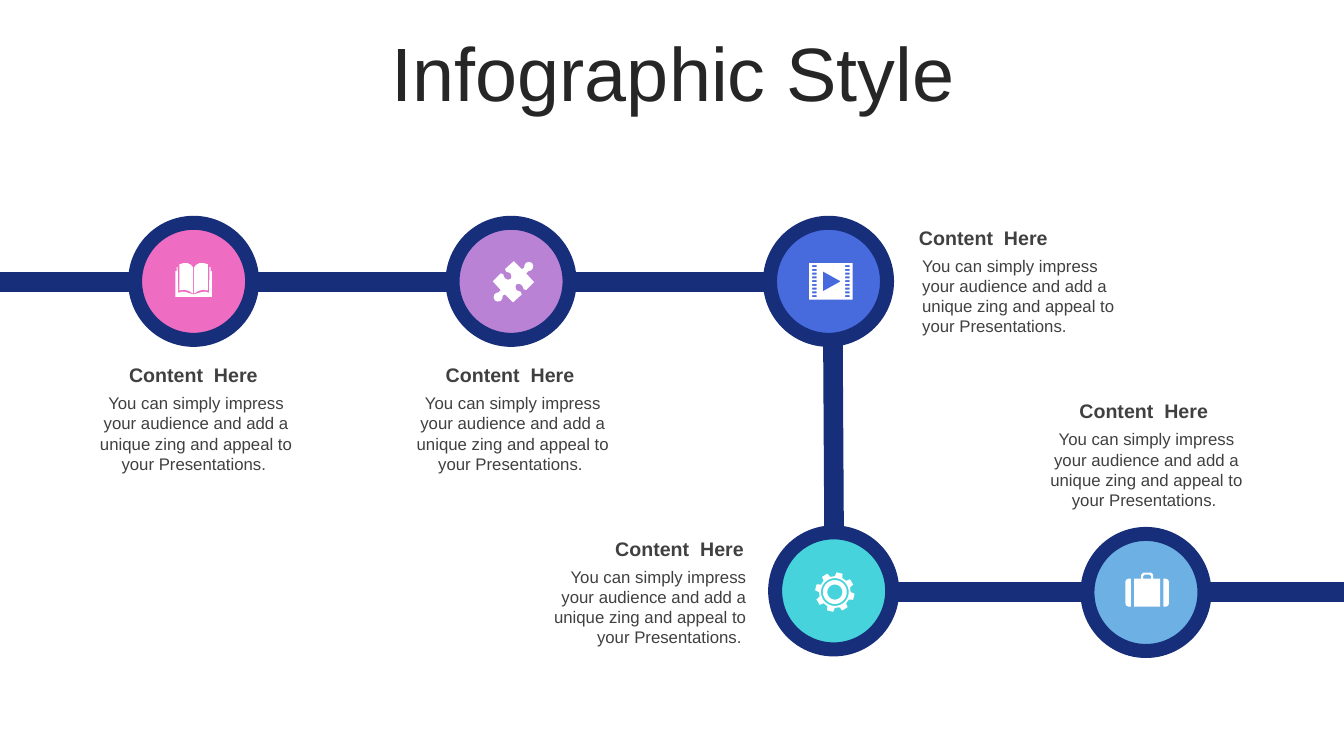
import math

import lxml.etree
import pptx
import pptx.dml.color
import pptx.enum.shapes
import pptx.enum.text
import pptx.oxml.ns
import pptx.util

Cm = pptx.util.Cm
ALIGN = pptx.enum.text.PP_ALIGN
ANCHOR = pptx.enum.text.MSO_ANCHOR


class Theme:
    font = "Arial"
    navy, white = "172E7B", "FFFFFF"
    pink, purple, blue, teal, sky = "EE6CC1", "B982D5", "476ADD", "47D3DC", "6DB0E4"
    title = {"size": 54, "color": "262626", "bold": False}
    heading = {"size": 14, "color": "404040", "bold": True}
    body = {"size": 12, "color": "404040", "bold": False}
    track_width, ring_width = 14, 10


def rgb(code):
    return pptx.dml.color.RGBColor.from_string(code)


class Infographic:
    def __init__(self, slide, theme):
        self.shapes, self.theme = slide.shapes, theme

    def text(self, wording, box, style, align, anchor=ANCHOR.TOP, spacing=1.0):
        frame = self.shapes.add_textbox(*map(Cm, box)).text_frame
        frame.word_wrap = True
        frame.vertical_anchor = anchor
        paragraph = frame.paragraphs[0]
        paragraph.alignment, paragraph.line_spacing = align, spacing
        run = paragraph.add_run()
        run.text = wording
        formats = {"name": self.theme.font, "bold": style["bold"],
                   "size": pptx.util.Pt(style["size"])}
        for attribute, value in formats.items():
            setattr(run.font, attribute, value)
        run.font.color.rgb = rgb(style["color"])

    def label(self, left, top, align):
        self.text(HEADING, (left, top, 5.79, 0.86), self.theme.heading, align, ANCHOR.MIDDLE)
        self.text(BODY, (left + 0.08, top + 0.76, 5.77, 2.31), self.theme.body, align)

    def track(self, *ends):
        track = self.shapes.add_connector(
            pptx.enum.shapes.MSO_CONNECTOR.STRAIGHT, *map(Cm, ends))
        track.line.color.rgb = rgb(self.theme.navy)
        track.line.width = pptx.util.Pt(self.theme.track_width)
        properties = track._element.spPr
        lxml.etree.SubElement(properties, pptx.oxml.ns.qn("a:effectLst"))

    def node(self, x, y, color, diameter=2.95):
        node = self.shapes.add_shape(
            pptx.enum.shapes.MSO_SHAPE.OVAL, Cm(x - diameter / 2), Cm(y - diameter / 2),
            Cm(diameter), Cm(diameter))
        node.shadow.inherit = False
        node.fill.solid()
        node.fill.fore_color.rgb = rgb(color)
        node.line.color.rgb = rgb(self.theme.navy)
        node.line.width = pptx.util.Pt(self.theme.ring_width)

    def icon(self, x, y, outlines):
        """Fill outlines given in cm around a centre; nested ones become holes."""
        builder = None
        for outline in outlines:
            start, *rest = [(Cm(x + dx), Cm(y + dy)) for dx, dy in outline]
            if builder is None:
                builder = self.shapes.build_freeform(*start)
            else:
                builder.move_to(*start)
            builder.add_line_segments(rest, close=True)
        icon = builder.convert_to_shape()
        icon.shadow.inherit = False
        icon.fill.solid()
        icon.fill.fore_color.rgb = rgb(self.theme.white)
        icon.line.fill.background()


# Icon outlines
def rectangle(left, top, right, bottom):
    return [(left, top), (right, top), (right, bottom), (left, bottom)]


def mirrored(outlines):
    return outlines + [[(-x, y) for x, y in outline] for outline in outlines]


def polar(radius, degrees):
    angle = math.radians(degrees)
    return radius * math.sin(angle), -radius * math.cos(angle)


def book():
    page = [(0.01, -0.31), (0.07, -0.38), (0.15, -0.42), (0.25, -0.42), (0.36, -0.39),
            (0.36, 0.27), (0.24, 0.25), (0.12, 0.28), (0.01, 0.35)]
    cover = [(0, 0.43), (0.46, 0.43), (0.46, -0.22), (0.43, -0.22), (0.43, -0.32),
             (0.4, -0.32), (0.39, 0.33), (0.29, 0.3), (0.2, 0.31), (0, 0.37)]
    return mirrored([page, cover])


def puzzle():
    half = [(0.47, -0.47), (0.5, -0.4), (0.48, -0.32), (0.43, -0.28), (0.38, -0.27),
            (0.32, -0.21), (0.52, 0.01), (0.32, 0.21), (0.26, 0.19), (0.23, 0.11),
            (0.19, 0.07), (0.13, 0.05), (0.07, 0.07), (0.05, 0.13), (0.07, 0.2),
            (0.11, 0.23), (0.18, 0.25), (0.21, 0.32), (-0.01, 0.52), (-0.21, 0.32),
            (-0.27, 0.35), (-0.28, 0.42), (-0.32, 0.48), (-0.4, 0.5)]
    return [half + [(-x, -y) for x, y in half]]


def film():
    tops = [-0.41 + 0.095 * row for row in range(9)]
    holes = mirrored([rectangle(0.36, top, 0.47, top + 0.05) for top in tops])
    play = [(-0.2, -0.25), (-0.2, 0.25), (0.25, 0)]
    return [rectangle(-0.55, -0.46, 0.55, 0.46), play] + holes


def gear():
    tooth = [(0.4, -14), (0.5, -9), (0.5, 9), (0.4, 14)]
    teeth = [polar(radius, 14 + 45 * turn + degrees)
             for turn in range(8) for radius, degrees in tooth]
    rings = [[polar(radius, degrees) for degrees in range(0, 360, 6)]
             for radius in (0.35, 0.3, 0.19)]
    return [teeth] + rings


def suitcase():
    side = [(0.41, -0.28), (0.47, -0.28), (0.53, -0.25), (0.55, -0.19),
            (0.55, 0.34), (0.53, 0.4), (0.47, 0.43), (0.41, 0.43)]
    body = [(-0.33, 0.43), (-0.33, -0.28), (-0.15, -0.28), (-0.15, -0.38), (-0.1, -0.43),
            (0.1, -0.43), (0.15, -0.38), (0.15, -0.28), (0.33, -0.28), (0.33, 0.43)]
    grip = [(-0.1, -0.28), (-0.1, -0.34), (-0.06, -0.38),
            (0.06, -0.38), (0.1, -0.34), (0.1, -0.28)]
    return mirrored([side]) + [body, grip]


TITLE = "Infographic Style"
HEADING = "Content  Here"
BODY = ("You can simply impress your audience and add a unique zing "
        "and appeal to your Presentations. ")
TRACKS = [(0, 7.11, 21.01, 7.11), (20.98, 6.86, 21.03, 15.16), (20.98, 14.91, 33.87, 14.91)]
# Node centre and colour, icon and its centre, label corner and alignment
STEPS = [
    ((4.88, 7.09, Theme.pink), book, (4.88, 7.05), (1.98, 9.02, ALIGN.CENTER)),
    ((12.88, 7.09, Theme.purple), puzzle, (12.94, 7.1), (9.96, 9.02, ALIGN.CENTER)),
    ((20.88, 7.09, Theme.blue), film, (20.94, 7.09), (22.91, 5.56, ALIGN.LEFT)),
    ((21.01, 14.89, Theme.teal), gear, (21.04, 14.92), (13.21, 13.39, ALIGN.RIGHT)),
    ((28.88, 14.93, Theme.sky), suitcase, (28.91, 14.86), (25.93, 9.93, ALIGN.CENTER)),
]


def main():
    deck = pptx.Presentation()
    deck.slide_width, deck.slide_height = Cm(33.87), Cm(19.05)
    page = Infographic(deck.slides.add_slide(deck.slide_layouts[6]), Theme)

    # Title
    page.text(TITLE, (0.89, 0.94, 32.16, 2.01), Theme.title, ALIGN.CENTER, ANCHOR.MIDDLE, 0.9)

    # Track behind the steps
    for ends in TRACKS:
        page.track(*ends)

    # Steps
    for node, outlines, centre, label in STEPS:
        page.node(*node)
        page.label(*label)
        page.icon(*centre, outlines())

    deck.save("out.pptx")


if __name__ == "__main__":
    main()
